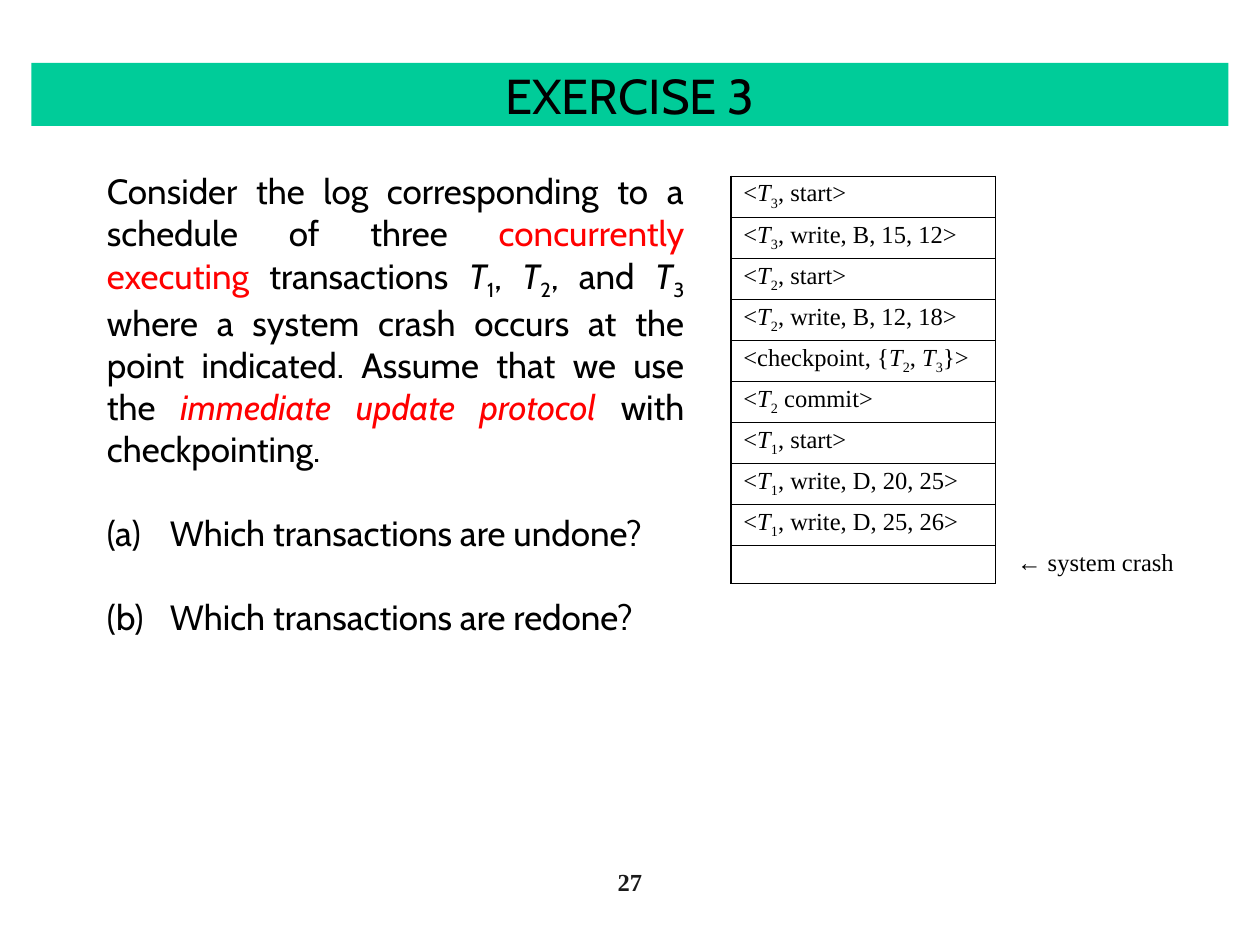
from dataclasses import dataclass

from lxml.etree import SubElement
from pptx import Presentation
from pptx.dml.color import RGBColor
from pptx.enum.shapes import MSO_SHAPE as Shape
from pptx.enum.text import MSO_ANCHOR as Anchor, PP_ALIGN as Align
from pptx.oxml.ns import qn
from pptx.util import Inches, Pt


@dataclass(frozen=True)
class Theme:
    banner: RGBColor = RGBColor(0x00, 0xCC, 0x99)
    text: RGBColor = RGBColor(0x00, 0x00, 0x00)
    accent: RGBColor = RGBColor(0xFF, 0x00, 0x00)
    number: RGBColor = RGBColor(0x1A, 0x1A, 0x1A)
    sans: str = "Cabin"
    serif: str = "Times New Roman"
    title_size: int = 28
    body_size: int = 20
    small_size: int = 14
    paragraph_gap: int = 24


THEME = Theme()
TRANSACTIONS = ("T1", "T2", "T3")
LOG = (
    "<|T3|, start>",
    "<|T3|, write, B, 15, 12>",
    "<|T2|, start>",
    "<|T2|, write, B, 12, 18>",
    "<checkpoint, {|T2|, |T3|}>",
    "<|T2| commit>",
    "<|T1|, start>",
    "<|T1|, write, D, 20, 25>",
    "<|T1|, write, D, 25, 26>",
)
QUESTIONS = ("Which transactions are undone?", "Which transactions are redone?")


def add_run(paragraph, text, face, size, color=THEME.text, italic=False, bold=False):
    run = paragraph.add_run()
    run.text = text
    run.font.name = face
    run.font.size = Pt(size)
    run.font.color.rgb = color
    run.font.italic = italic
    run.font.bold = bold
    return run


def add_text(paragraph, text, face, size, **style):
    for part in text.split("|"):
        if part in TRANSACTIONS:
            add_run(paragraph, part[0], face, size, italic=True)
            subscript = add_run(paragraph, part[1], face, size)
            subscript.font._element.set("baseline", "-25000")
        else:
            add_run(paragraph, part, face, size, **style)


def add_title(slide, text, left, top, width, height):
    banner = slide.shapes.add_shape(Shape.RECTANGLE, left, top, width, height)
    banner.shadow.inherit = False
    banner.fill.solid()
    banner.fill.fore_color.rgb = THEME.banner
    banner.line.fill.background()
    frame = banner.text_frame
    frame.vertical_anchor = Anchor.MIDDLE
    paragraph = frame.paragraphs[0]
    paragraph.alignment = Align.CENTER
    add_text(paragraph, text, THEME.sans, THEME.title_size)


def add_question(frame, text):
    paragraph = frame.add_paragraph()
    paragraph.space_before = Pt(THEME.paragraph_gap)
    properties = paragraph._p.get_or_add_pPr()
    properties.set("marL", str(Inches(0.5)))
    properties.set("indent", str(-Inches(0.5)))
    SubElement(properties, qn("a:buFont"), typeface=THEME.sans)
    SubElement(properties, qn("a:buAutoNum"), type="alphaLcParenBoth")
    add_text(paragraph, text, THEME.sans, THEME.body_size)


def add_exercise(slide, left, top, width, height):
    frame = slide.shapes.add_textbox(left, top, width, height).text_frame
    frame.word_wrap = True
    paragraph = frame.paragraphs[0]
    paragraph.alignment = Align.JUSTIFY
    accent = {"color": THEME.accent}
    for text, style in (
        ("Consider the log corresponding to a schedule of three ", {}),
        ("concurrently executing", accent),
        (" transactions |T1|, |T2|, and |T3| where a system crash occurs at the "
         "point indicated. Assume that we use the ", {}),
        ("immediate update protocol ", {**accent, "italic": True}),
        ("with checkpointing.", {}),
    ):
        add_text(paragraph, text, THEME.sans, THEME.body_size, **style)
    for question in QUESTIONS:
        add_question(frame, question)


def set_borders(cell, visible):
    properties = cell._tc.get_or_add_tcPr()
    for index, side in enumerate(("L", "R", "T", "B")):
        line = properties.makeelement(qn(f"a:ln{side}"), {"w": str(Pt(1))})
        if side in visible:
            fill = SubElement(line, qn("a:solidFill"))
            SubElement(fill, qn("a:srgbClr"), val=str(THEME.text))
        else:
            SubElement(line, qn("a:noFill"))
        properties.insert(index, line)


def fill_cell(cell, text, alignment, borders):
    cell.fill.background()
    cell.margin_top = cell.margin_bottom = Inches(0.03)
    set_borders(cell, borders)
    paragraph = cell.text_frame.paragraphs[0]
    paragraph.alignment = alignment
    if text:
        add_text(paragraph, text, THEME.serif, THEME.small_size)
    else:
        ending = SubElement(paragraph._p, qn("a:endParaRPr"), sz=str(THEME.small_size * 100))
        SubElement(ending, qn("a:latin"), typeface=THEME.serif)


def add_log(slide, left, top, width, height):
    row_count = len(LOG) + 1
    table = slide.shapes.add_table(row_count, 2, left, top, width, height).table
    table.first_row = table.horz_banding = False
    table.columns[0].width = Inches(2.1)
    table.columns[1].width = width - Inches(2.1)
    notes = [""] * len(LOG) + ["← system crash"]
    for row, (entry, note) in enumerate(zip(LOG + ("",), notes)):
        fill_cell(table.cell(row, 0), entry, Align.LEFT, "LRTB")
        fill_cell(table.cell(row, 1), note, Align.CENTER, "L")


def add_slide_number(slide, text, left, top, width, height):
    frame = slide.shapes.add_textbox(left, top, width, height).text_frame
    frame.word_wrap = True
    paragraph = frame.paragraphs[0]
    paragraph.alignment = Align.CENTER
    add_text(paragraph, text, THEME.serif, THEME.small_size, color=THEME.number, bold=True)


def main():
    presentation = Presentation()
    presentation.slide_width = Inches(10)
    presentation.slide_height = Inches(7.5)
    slide = presentation.slides.add_slide(presentation.slide_layouts[6])
    add_title(slide, "EXERCISE 3", Inches(0.25), Inches(0.5), Inches(9.5), Inches(0.5))
    add_exercise(slide, Inches(0.75), Inches(1.3), Inches(4.78), Inches(5.3))
    add_log(slide, Inches(5.8), Inches(1.4), Inches(3.69), Inches(3))
    add_slide_number(slide, "27", Inches(0.5), Inches(6.83), Inches(9), Inches(0.5))
    presentation.save("out.pptx")


if __name__ == "__main__":
    main()
